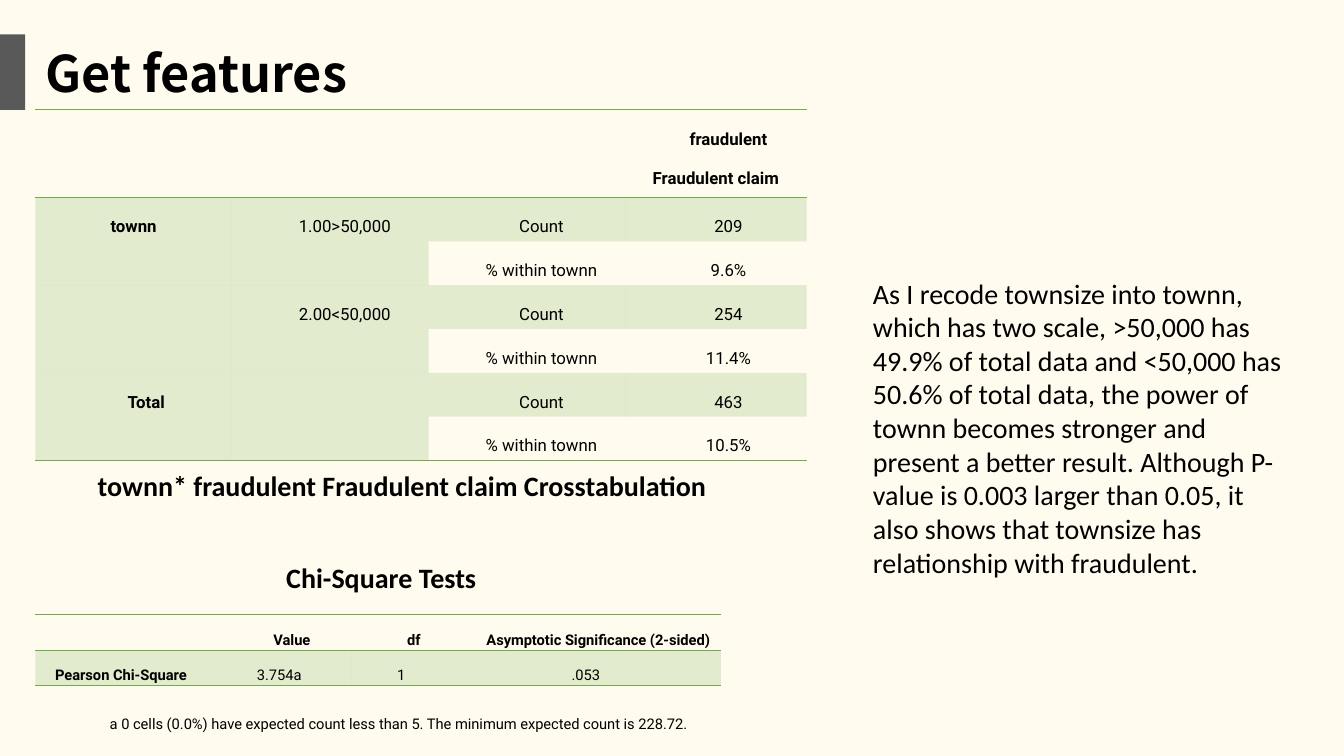
from lxml.etree import SubElement as Sub, Element as Elem
from pptx import Presentation as Deck
from pptx.dml.color import RGBColor as Rgb
from pptx.enum.shapes import MSO_SHAPE as Shape
from pptx.enum.text import MSO_AUTO_SIZE as Fit, PP_ALIGN as Align
from pptx.oxml.ns import qn
from pptx.util import Inches, Pt

CREAM, GRAY, GREEN, BLACK = "FFFBEF", "595959", "70AD47", "000000"
PLAIN = "{2D5ABB26-0587-4C30-8999-92F81FD0307C}"


def tint(fill, code):
    fill.solid()
    fill.fore_color.rgb = Rgb.from_string(code)


def put(para, text, size=20, font="Calibri", bold=False, color=BLACK,
        align=None, space=None, after=None, left=0, first=0):
    run = para.add_run()
    run.text = text
    run.font.size, run.font.name, run.font.bold = Pt(size), font, bold
    tint(run.font.fill, color)
    if align is not None:
        para.alignment = align
    if space:
        para.line_spacing = space
    if after:
        para.space_after = Pt(after)
    if left or first:
        props = para._p.get_or_add_pPr()
        props.set("marL", str(Inches(left)))
        props.set("indent", str(Inches(first)))


class Page:
    """Holds the slide and the style of its text, bars and tables."""

    def __init__(self, deck, font="Roboto"):
        self.slide = deck.slides.add_slide(deck.slide_layouts[6])
        self.font = font
        tint(self.slide.background.fill, CREAM)

    def bar(self, *box):
        shape = self.slide.shapes.add_shape(Shape.RECTANGLE, *map(Inches, box))
        shape.shadow.inherit = False
        tint(shape.fill, GRAY)
        shape.line.fill.background()

    def text(self, box, text, wrap=False, **style):
        frame = self.slide.shapes.add_textbox(*map(Inches, box)).text_frame
        frame.word_wrap = wrap
        frame.auto_size = Fit.SHAPE_TO_FIT_TEXT
        put(frame.paragraphs[0], text, **style)
        return frame.paragraphs[0]

    def grid(self, left, top, cols, rows):
        shape = self.slide.shapes.add_table(
            len(rows), len(cols), Inches(left), Inches(top),
            Inches(sum(cols)), Inches(sum(rows)))
        table = shape.table
        table.first_row = table.horz_banding = False
        table._tbl.tblPr.find(qn("a:tableStyleId")).text = PLAIN
        for col, width in zip(table.columns, cols):
            col.width = Inches(width)
        for row, height in zip(table.rows, rows):
            row.height = Inches(height)
        for cell in table.iter_cells():
            cell.margin_left = cell.margin_right = Inches(0.07)
            cell.margin_top = cell.margin_bottom = 0
            cell.fill.background()
        return table

    def cell(self, cell, text, size, **style):
        put(cell.text_frame.paragraphs[0], text, size=size, font=self.font,
            align=Align.CENTER, space=2, **style)

    def shade(self, cell):
        tint(cell.fill, GREEN)
        color = cell._tc.tcPr.find(".//" + qn("a:srgbClr"))
        Sub(color, qn("a:alpha")).set("val", "20000")

    def rule(self, cell, *sides):
        for spot, side in enumerate(sides):
            line = Elem(qn("a:ln" + side), w=str(Pt(1)))
            Sub(Sub(line, qn("a:solidFill")), qn("a:srgbClr")).set("val", GREEN)
            cell._tc.get_or_add_tcPr().insert(spot, line)


def cross(page):
    table = page.grid(0.35, 1.09, [1.95] * 3 + [1.8], [0.87] + [0.435] * 6)
    for col in range(4):
        page.rule(table.cell(0, col), "T", "B")
        page.rule(table.cell(6, col), "B")
    page.cell(table.cell(0, 3), "fraudulent Fraudulent claim", 12,
              bold=True, first=0.25)
    groups = [("townn", 0, "1.00>50,000", "209", "9.6%"),
              ("", 0, "2.00<50,000", "254", "11.4%"),
              ("Total", 0.25, "", "463", "10.5%")]
    for num, (name, first, town, count, share) in enumerate(groups):
        top = 1 + 2 * num
        for col in range(2):
            head = table.cell(top, col)
            head.merge(table.cell(top + 1, col))
            page.shade(head)
            if top == 5:
                page.rule(head, "B")
        if name:
            page.cell(table.cell(top, 0), name, 12, bold=True, first=first)
        if town:
            page.cell(table.cell(top, 1), town, 12, left=0.04, first=0.25)
        for row, label, value in ((top, "Count", count),
                                  (top + 1, "% within townn", share)):
            page.cell(table.cell(row, 2), label, 12, left=0.04, first=0.25)
            page.cell(table.cell(row, 3), value, 12, first=0.25)
        for col in (2, 3):
            page.shade(table.cell(top, col))


def tests(page):
    table = page.grid(0.35, 6.1, [1.7, 1.44, 0.98, 2.68], [0.35] * 2)
    heads = ["", "Value", "df", "Asymptotic Significance (2-sided)"]
    values = ["Pearson Chi-Square", "3.754a", "1", ".053"]
    for col, (head, value) in enumerate(zip(heads, values)):
        top, low = table.cell(0, col), table.cell(1, col)
        if head:
            page.cell(top, head, 10.5, bold=True, first=0.25)
        page.cell(low, value, 10.5, bold=col == 0)
        page.shade(low)
        page.rule(top, "T", "B")
        page.rule(low, "B")


def main():
    deck = Deck()
    deck.slide_width, deck.slide_height = Inches(13.33), Inches(7.5)
    page = Page(deck)
    page.text((0.87, 4.6, 6.29, 0.44),
              "townn* fraudulent Fraudulent claim Crosstabulation", bold=True)
    page.text((2.74, 5.51, 2.11, 0.44), "Chi-Square Tests", bold=True)
    page.bar(0, 0.34, 0.25, 0.75)
    page.text((0.35, 0.37, 3.32, 0.71), "Get features", size=36,
              font="Noto Sans CJK SC", bold=True)
    cross(page)
    tests(page)
    page.text((8.56, 2.69, 4.31, 3.13),
              "As I recode townsize into townn, which has two scale, >50,000 "
              "has 49.9% of total data and <50,000 has 50.6% of total data, "
              "the power of townn becomes stronger and present a better "
              "result. Although P-value is 0.003 larger than 0.05, it also "
              "shows that townsize has relationship with fraudulent.",
              wrap=True)
    note = page.text((0.99, 6.64, 6.67, 0.71),
                     "a 0 cells (0.0%) have expected count less than 5. "
                     "The minimum expected count is 228.72.",
                     wrap=True, size=10.5, font="Roboto", space=2, after=12)
    put(note, "\t", size=18, font="Courier New")
    deck.save("out.pptx")


if __name__ == "__main__":
    main()
